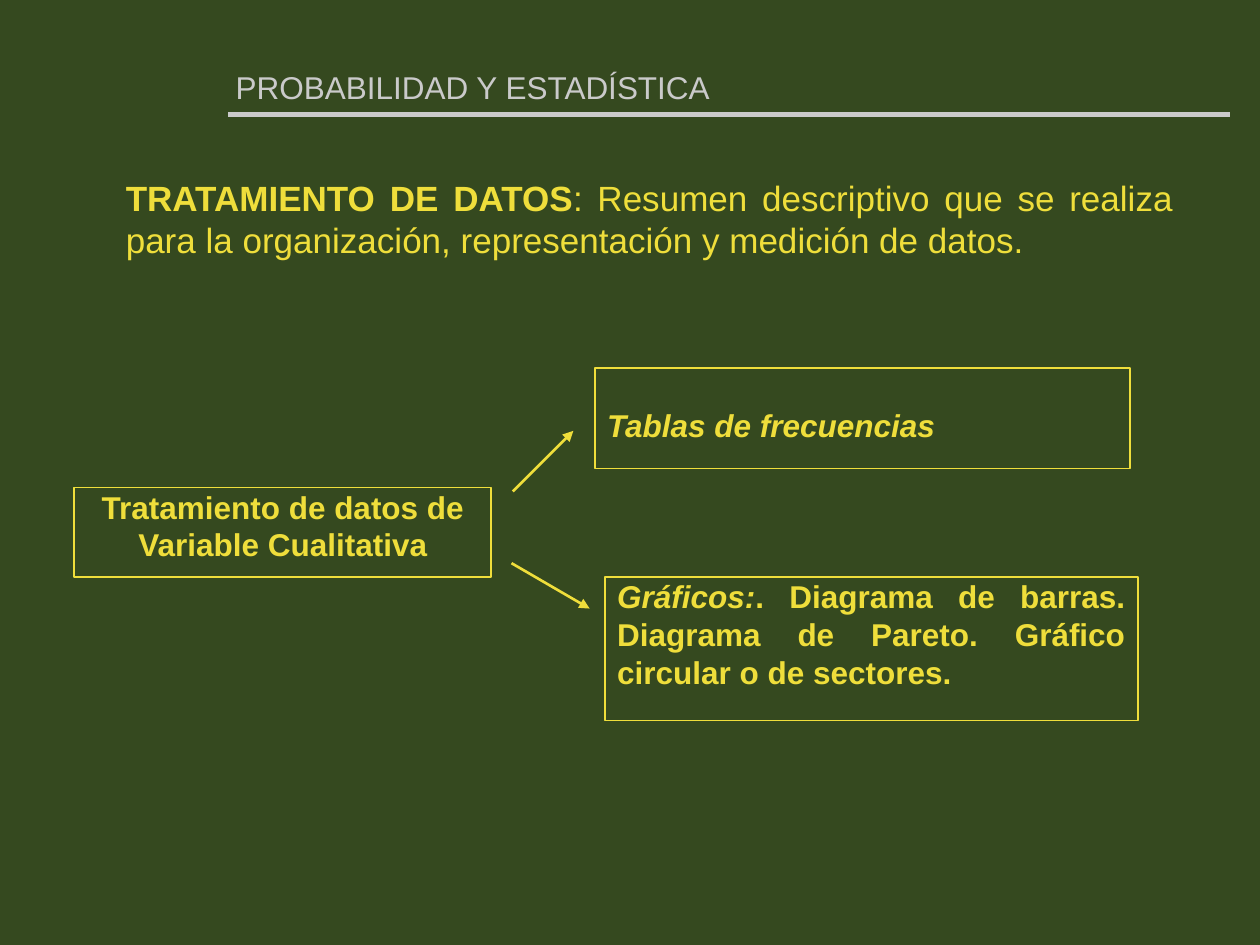
from lxml.etree import SubElement
from pptx import Presentation
from pptx.dml.color import RGBColor
from pptx.enum.shapes import MSO_CONNECTOR, MSO_SHAPE
from pptx.enum.text import MSO_ANCHOR, PP_ALIGN
from pptx.oxml.ns import qn
from pptx.util import Inches, Pt

COLORS = {"background": "35491F", "header": "CACACA", "accent": "EFDE3B"}
FONT = "Arial"


def color(name):
    return RGBColor.from_string(COLORS[name])


def write_runs(paragraph, runs, size, color_name, alignment):
    paragraph.alignment = alignment
    for text, bold, italic in runs:
        run = paragraph.add_run()
        run.text = text
        run.font.name = FONT
        run.font.size = Pt(size)
        run.font.bold = bold
        run.font.italic = italic
        run.font.color.rgb = color(color_name)


def set_frame(text_frame, anchor, top=0.05, bottom=0.05):
    text_frame.word_wrap = True
    text_frame.vertical_anchor = anchor
    text_frame.margin_left = text_frame.margin_right = Inches(0.1)
    text_frame.margin_top = Inches(top)
    text_frame.margin_bottom = Inches(bottom)


def add_line(slide, start, end, color_name, width, arrow=False):
    points = [Inches(value) for value in (*start, *end)]
    connector = slide.shapes.add_connector(MSO_CONNECTOR.STRAIGHT, *points)
    connector.line.color.rgb = color(color_name)
    connector.line.width = Pt(width)
    if arrow:
        SubElement(connector.line._get_or_add_ln(), qn("a:tailEnd"), type="triangle")
    SubElement(connector._element.spPr, qn("a:effectLst"))


def add_header(slide, left, top, width, height):
    title = slide.shapes.title
    title.left, title.top = Inches(left), Inches(top)
    title.width, title.height = Inches(width), Inches(height)
    set_frame(title.text_frame, MSO_ANCHOR.BOTTOM)
    write_runs(title.text_frame.paragraphs[0],
               [("PROBABILIDAD Y ESTADÍSTICA", False, False)],
               18, "header", PP_ALIGN.LEFT)
    rule_left, rule_top = left + 0.04, top + height + 0.02
    add_line(slide, (rule_left, rule_top), (rule_left + 7.95, rule_top), "header", 3)


def add_definition(slide, left, top, width, height):
    box = slide.shapes.add_textbox(Inches(left), Inches(top), Inches(width), Inches(height))
    set_frame(box.text_frame, MSO_ANCHOR.TOP)
    runs = [
        ("TRATAMIENTO DE DATOS", True, False),
        (": Resumen descriptivo que se realiza para la organización, "
         "representación y medición de datos.", False, False),
    ]
    write_runs(box.text_frame.paragraphs[0], runs, 20, "accent", PP_ALIGN.JUSTIFY)


def add_box(slide, left, top, width, height, runs, alignment, text_top=0):
    box = slide.shapes.add_shape(MSO_SHAPE.RECTANGLE, Inches(left), Inches(top),
                                 Inches(width), Inches(height))
    box.shadow.inherit = False
    box.fill.background()
    box.line.color.rgb = color("accent")
    box.line.width = Pt(1)
    set_frame(box.text_frame, MSO_ANCHOR.TOP, text_top, 0)
    write_runs(box.text_frame.paragraphs[0], runs, 18, "accent", alignment)


def add_diagram(slide, left, top):
    add_box(slide, left, top + 0.95, 3.31, 0.71,
            [("Tratamiento de datos de Variable Cualitativa", True, False)],
            PP_ALIGN.CENTER)
    add_box(slide, left + 4.13, top, 4.25, 0.8,
            [("Tablas de frecuencias", True, True)], PP_ALIGN.JUSTIFY, text_top=0.3)
    add_box(slide, left + 4.21, top + 1.66, 4.23, 1.14,
            [("Gráficos:", True, True),
             (". Diagrama de barras. Diagrama de Pareto. "
              "Gráfico circular o de sectores.", True, False)],
            PP_ALIGN.JUSTIFY)
    add_line(slide, (left + 3.48, top + 0.98), (left + 3.96, top + 0.5),
             "accent", 1.5, arrow=True)
    add_line(slide, (left + 3.47, top + 1.55), (left + 4.09, top + 1.91),
             "accent", 1.5, arrow=True)


def main():
    presentation = Presentation()
    presentation.slide_width = Inches(10)
    presentation.slide_height = Inches(7.5)
    slide = presentation.slides.add_slide(presentation.slide_layouts[5])
    slide.background.fill.solid()
    slide.background.fill.fore_color.rgb = color("background")
    add_header(slide, 1.77, 0.09, 7.72, 0.8)
    add_definition(slide, 0.9, 1.35, 8.51, 0.77)
    add_diagram(slide, 0.59, 2.92)
    presentation.save("out.pptx")


if __name__ == "__main__":
    main()
